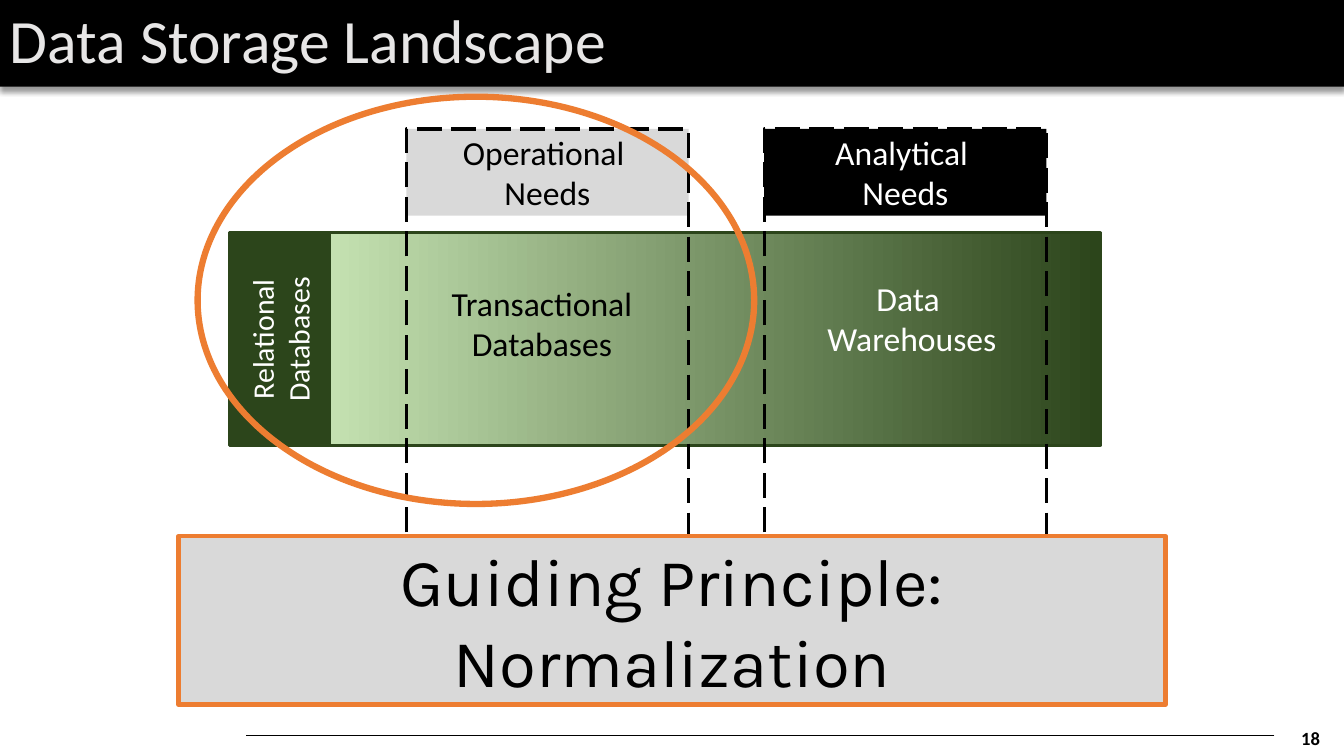
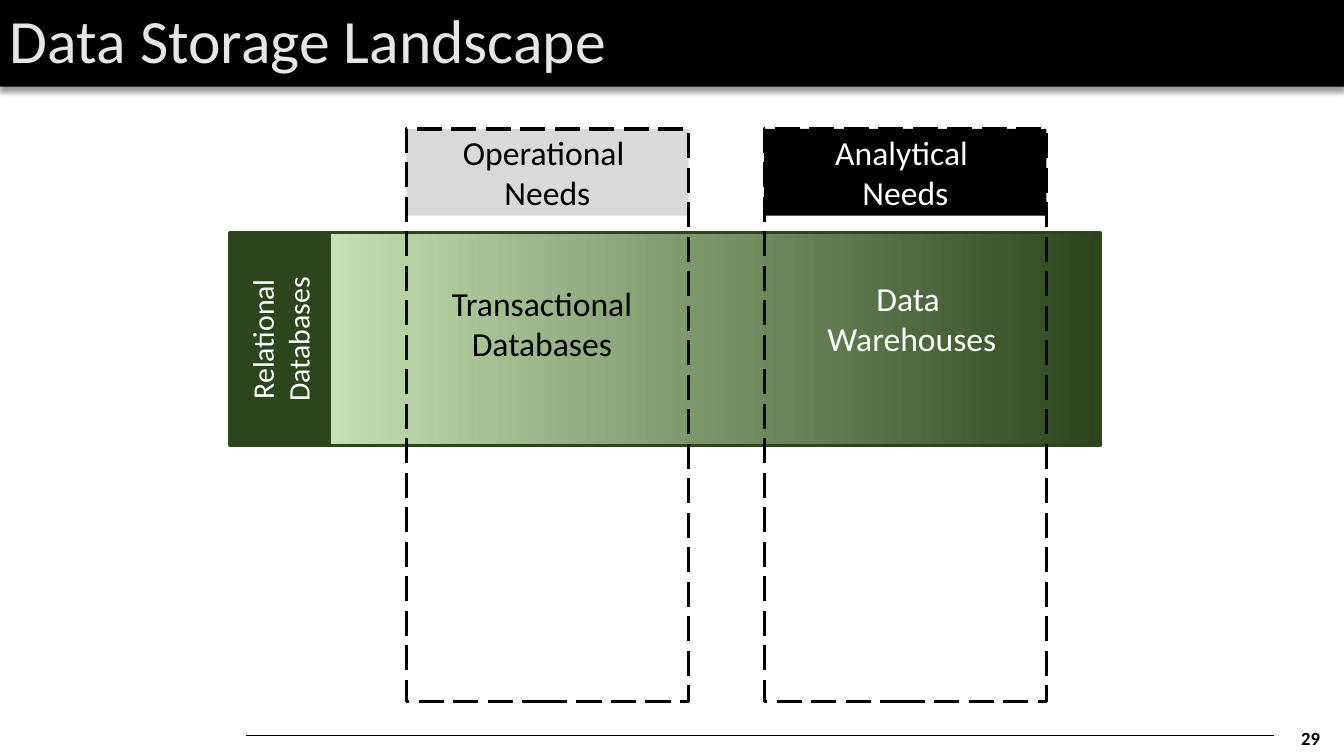
from dataclasses import dataclass

from lxml.etree import SubElement
from pptx import Presentation
from pptx.dml.color import RGBColor
from pptx.enum.dml import MSO_LINE
from pptx.enum.shapes import MSO_CONNECTOR, MSO_SHAPE
from pptx.enum.text import MSO_ANCHOR, PP_ALIGN
from pptx.oxml.ns import qn
from pptx.shapes.autoshape import Shape
from pptx.slide import Slide
from pptx.util import Inches, Pt

BLACK, WHITE = "000000", "FFFFFF"
TITLE_GRAY, LIGHT_GRAY = "E7E6E6", "D9D9D9"
PALE_GREEN, DARK_GREEN = "C4E1B1", "2C451B"
ORANGE = "ED7D31"
BODY_FONT, ACCENT_FONT = "Calibri", "Karla"
SLIDE_WIDTH, SLIDE_HEIGHT = 13.33, 7.5
COLUMN_TOP, COLUMN_WIDTH, COLUMN_HEIGHT, HEADER_HEIGHT = 1.28, 2.8, 5.68, 0.86


@dataclass(frozen=True)
class Box:
    left: float
    top: float
    width: float
    height: float

    def lengths(self) -> tuple[Inches, Inches, Inches, Inches]:
        return Inches(self.left), Inches(self.top), Inches(self.width), Inches(self.height)


@dataclass(frozen=True)
class NeedColumn:
    left: float
    header: str
    header_fill: str
    database: str
    database_box: Box
    text_color: str


NEED_COLUMNS = (
    NeedColumn(4.03, "Operational \nNeeds", LIGHT_GRAY,
               "Transactional Databases", Box(3.81, 2.64, 3.13, 1.13), BLACK),
    NeedColumn(7.58, "Analytical \nNeeds", BLACK,
               "Data \nWarehouses", Box(7.48, 2.55, 3.13, 1.21), WHITE),
)


def rgb(color: str) -> RGBColor:
    return RGBColor.from_string(color)


def write_text(shape: Shape, text: str, *, size: float = 24, color: str = BLACK,
               font: str = BODY_FONT, bold: bool = False,
               align: PP_ALIGN = PP_ALIGN.CENTER,
               anchor: MSO_ANCHOR = MSO_ANCHOR.MIDDLE,
               line_spacing: float | None = None, inset: float | None = None) -> None:
    frame = shape.text_frame
    frame.word_wrap = True
    frame.vertical_anchor = anchor
    if inset is not None:
        frame.margin_left = frame.margin_right = Inches(inset)
        frame.margin_top = frame.margin_bottom = Inches(inset)
    paragraph = frame.paragraphs[0]
    paragraph.alignment = align
    paragraph.line_spacing = line_spacing
    for index, line in enumerate(text.split("\n")):
        if index:
            paragraph.add_line_break()
        run = paragraph.add_run()
        run.text = line
        run.font.name = font
        run.font.size = Pt(size)
        run.font.bold = bold
        run.font.color.rgb = rgb(color)


def add_box(slide: Slide, box: Box, *, fill: str | None = None,
            line: str | None = None, line_width: float = 2.25,
            kind: MSO_SHAPE = MSO_SHAPE.RECTANGLE) -> Shape:
    shape = slide.shapes.add_shape(kind, *box.lengths())
    shape.shadow.inherit = False
    if fill:
        shape.fill.solid()
        shape.fill.fore_color.rgb = rgb(fill)
    else:
        shape.fill.background()
    if line:
        shape.line.color.rgb = rgb(line)
        shape.line.width = Pt(line_width)
    else:
        shape.line.fill.background()
    return shape


def add_label(slide: Slide, box: Box, text: str, **text_format) -> None:
    write_text(slide.shapes.add_textbox(*box.lengths()), text, **text_format)


def add_drop_shadow(shape: Shape) -> None:
    effects = shape.element.spPr.find(qn("a:effectLst"))
    shadow = SubElement(effects, qn("a:outerShdw"), blurRad=str(Pt(4)), dist=str(Pt(3)),
                        dir="5400000", algn="t", rotWithShape="0")
    color = SubElement(shadow, qn("a:srgbClr"), val=BLACK)
    SubElement(color, qn("a:alpha"), val="40000")


def add_base(slide: Slide, title: str, number: int) -> None:
    # Footer rule and page number
    rule = slide.shapes.add_connector(MSO_CONNECTOR.STRAIGHT, Inches(12.64), Inches(7.3),
                                      Inches(2.44), Inches(7.3))
    rule.line.color.rgb = rgb(BLACK)
    rule.line.width = Pt(0.5)
    SubElement(rule.element.spPr, qn("a:effectLst"))
    add_label(slide, Box(12.78, 7.12, 0.44, 0.36), str(number), size=13.3, bold=True,
              anchor=MSO_ANCHOR.BOTTOM, inset=0.05)
    # Title band
    band = add_box(slide, Box(0, 0, SLIDE_WIDTH, 0.86), fill=BLACK)
    add_drop_shadow(band)
    write_text(band, title, size=44, color=TITLE_GRAY, align=PP_ALIGN.LEFT, line_spacing=0.9)


def add_landscape(slide: Slide) -> None:
    # Relational band, fading from pale to dark green
    band = add_box(slide, Box(3.27, 2.31, 7.64, 2.11), line=DARK_GREEN)
    band.fill.gradient()
    band.fill.gradient_angle = 0
    for stop, color in zip(band.fill.gradient_stops, (PALE_GREEN, DARK_GREEN)):
        stop.color.rgb = rgb(color)
    side = add_box(slide, Box(1.72, 2.87, 2.11, 0.99), fill=DARK_GREEN, line=DARK_GREEN)
    side.rotation = 270
    write_text(side, "Relational Databases", size=21.3, color=WHITE)

    # One dashed column for each kind of need
    for column in NEED_COLUMNS:
        header = add_box(slide, Box(column.left, COLUMN_TOP, COLUMN_WIDTH, HEADER_HEIGHT),
                         fill=column.header_fill)
        write_text(header, column.header, color=column.text_color)
        add_label(slide, column.database_box, column.database, color=column.text_color)
        frame = add_box(slide, Box(column.left, COLUMN_TOP, COLUMN_WIDTH, COLUMN_HEIGHT),
                        line=BLACK)
        frame.line.dash_style = MSO_LINE.LONG_DASH


def add_principle(slide: Slide) -> None:
    # Highlight ring and guiding principle
    add_box(slide, Box(1.96, 0.96, 5.52, 4.04), line=ORANGE, line_width=4.5,
            kind=MSO_SHAPE.OVAL)
    banner = add_box(slide, Box(1.77, 5.32, 9.79, 1.67), fill=LIGHT_GRAY,
                     line=ORANGE, line_width=3)
    write_text(banner, "Guiding Principle: Normalization", size=48, font=ACCENT_FONT)


def main() -> None:
    presentation = Presentation()
    presentation.slide_width = Inches(SLIDE_WIDTH)
    presentation.slide_height = Inches(SLIDE_HEIGHT)
    for number, has_principle in ((18, True), (29, False)):
        slide = presentation.slides.add_slide(presentation.slide_layouts[6])
        add_base(slide, "Data Storage Landscape", number)
        add_landscape(slide)
        if has_principle:
            add_principle(slide)
    presentation.save("out.pptx")


if __name__ == "__main__":
    main()
